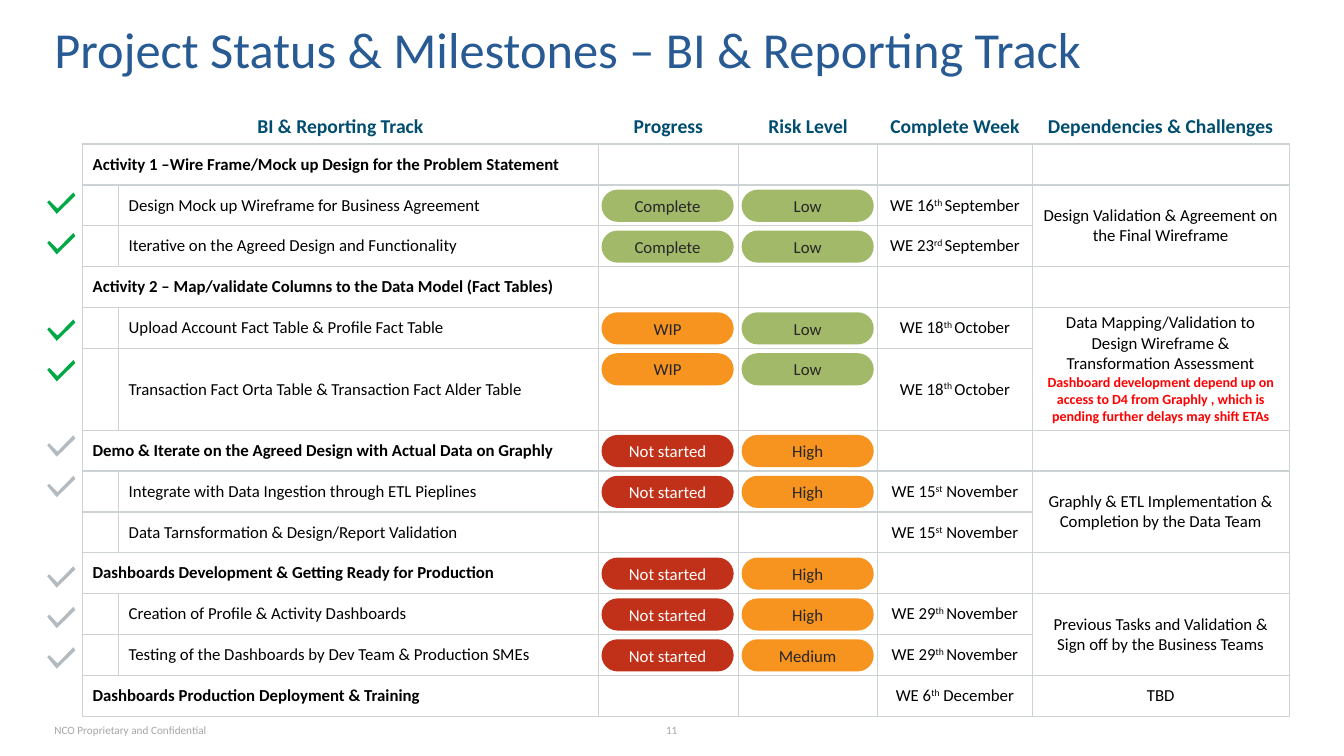
from dataclasses import dataclass
from itertools import accumulate

from lxml import etree
from pptx import Presentation
from pptx.dml.color import RGBColor
from pptx.enum.shapes import MSO_SHAPE
from pptx.enum.text import MSO_ANCHOR, PP_ALIGN
from pptx.oxml.ns import qn
from pptx.util import Cm, Pt

PILL = MSO_SHAPE.ROUNDED_RECTANGLE
LEFT, CENTER = PP_ALIGN.LEFT, PP_ALIGN.CENTER
MIDDLE, BOTTOM = MSO_ANCHOR.MIDDLE, MSO_ANCHOR.BOTTOM


@dataclass
class Theme:
    font: str = "Calibri"
    title: str = "285A93"
    header: str = "004D70"
    body: str = "000000"
    alert: str = "FF0000"
    footer: str = "A6A6A6"
    dark: str = "262626"
    white: str = "FFFFFF"
    grid: str = "CDD2D5"
    green: str = "A2B969"
    orange: str = "F7931F"
    red: str = "C13018"
    tick_done: str = "00A846"
    tick_open: str = "B4BBC0"
    title_size: int = 36
    header_size: int = 14
    body_size: int = 12
    alert_size: int = 10
    footer_size: int = 8


theme = Theme()

# Status label: fill and text colour
STATUS = {
    "Complete": (theme.green, theme.dark),
    "Low": (theme.green, theme.dark),
    "WIP": (theme.orange, theme.dark),
    "High": (theme.orange, theme.dark),
    "Medium": (theme.orange, theme.dark),
    "Not started": (theme.red, theme.white),
}
HEADERS = {0: "BI & Reporting Track", 2: "Progress", 3: "Risk Level",
           4: "Complete Week", 5: "Dependencies & Challenges"}

# Is heading, name, progress, risk, week (^ encloses superscript), dependency
ROWS = [
    (True, "Activity 1 –Wire Frame/Mock up Design for the Problem Statement", "", "", "", ""),
    (False, "Design Mock up Wireframe for Business Agreement", "Complete", "Low",
     "WE 16^th ^September", "Design Validation & Agreement on the Final Wireframe"),
    (False, "Iterative on the Agreed Design and Functionality", "Complete", "Low",
     "WE 23^rd ^September", ""),
    (True, "Activity 2 – Map/validate Columns to the Data Model (Fact Tables)", "", "", "", ""),
    (False, "Upload Account Fact Table & Profile Fact Table", "WIP", "Low", "WE 18^th ^October",
     "Data Mapping/Validation to Design Wireframe & Transformation Assessment\n"
     "Dashboard development depend up on access to D4 from Graphly , "
     "which is pending further delays may shift ETAs"),
    (False, "Transaction Fact Orta Table & Transaction Fact Alder Table", "WIP", "Low",
     "WE 18^th ^October", ""),
    (True, "Demo & Iterate on the Agreed Design with Actual Data on Graphly",
     "Not started", "High", "", ""),
    (False, "Integrate with Data Ingestion through ETL Pieplines", "Not started", "High",
     "WE 15^st^ November", "Graphly & ETL Implementation & Completion by the Data Team"),
    (False, "Data Tarnsformation & Design/Report Validation", "", "", "WE 15^st^ November", ""),
    (True, "Dashboards Development & Getting Ready for Production",
     "Not started", "High", "", ""),
    (False, "Creation of Profile & Activity Dashboards", "Not started", "High",
     "WE 29^th ^November", "Previous Tasks and Validation & Sign off by the Business Teams"),
    (False, "Testing of the Dashboards by Dev Team & Production SMEs", "Not started", "Medium",
     "WE 29^th ^November", ""),
    (True, "Dashboards Production Deployment & Training", "", "", "WE 6^th^ December", "TBD"),
]

TABLE_LEFT, TABLE_TOP = 2.08, 2.46
COLUMN_WIDTHS = [0.91, 12.09, 3.53, 3.51, 3.89, 6.48]
ROW_HEIGHTS = [1.17] + [1.03] * len(ROWS)
ROW_HEIGHTS[6] = 2.06  # the long dependency note needs a double row
column_lefts = list(accumulate(COLUMN_WIDTHS, initial=TABLE_LEFT))
row_tops = list(accumulate(ROW_HEIGHTS, initial=TABLE_TOP))


def write(frame, text, size=theme.body_size, color=theme.body, bold=False,
          align=LEFT, spacing=None):
    """Write one paragraph; parts between ^ marks are superscript."""
    para = frame.paragraphs[0] if not frame.text else frame.add_paragraph()
    para.alignment = align
    para.line_spacing = spacing
    for index, part in enumerate(text.split("^")):
        span = para.add_run()
        span.text = part
        span.font.name = theme.font
        span.font.size = Pt(size)
        span.font.bold = bold
        span.font.color.rgb = RGBColor.from_string(color)
        if index % 2:
            span.font._element.set("baseline", "30000")


def style_cell(cell, sides):
    """Fill a cell white and draw the named borders."""
    cell.fill.solid()
    cell.fill.fore_color.rgb = RGBColor.from_string(theme.white)
    properties = cell._tc.get_or_add_tcPr()
    for index, side in enumerate(sides):
        line = etree.Element(qn(f"a:ln{side}"), w=str(Pt(1)))
        fill = etree.SubElement(line, qn("a:solidFill"))
        etree.SubElement(fill, qn("a:srgbClr"), val=theme.grid)
        properties.insert(index, line)


deck = Presentation()
deck.slide_width, deck.slide_height = Cm(33.87), Cm(19.05)
page = deck.slides.add_slide(deck.slide_layouts[6])

# Title, page number and footer
for text, left, top, width, height, inset, style in [
    ("Project Status & Milestones – BI & Reporting Track", 1.37, 0.46, 31.12, 1.3, 0.51,
     dict(size=theme.title_size, color=theme.title, spacing=0.8)),
    ("11", 16.46, 18.11, 0.94, 0.58, 0,
     dict(size=theme.footer_size, color=theme.footer, align=CENTER)),
    ("NCO Proprietary and Confidential", 1.37, 18.11, 4.09, 0.58, 0,
     dict(size=theme.footer_size, color=theme.footer)),
]:
    box = page.shapes.add_textbox(Cm(left), Cm(top), Cm(width), Cm(height))
    frame = box.text_frame
    frame.word_wrap = True
    frame.vertical_anchor = MIDDLE
    frame.margin_left = frame.margin_right = frame.margin_bottom = 0
    frame.margin_top = Cm(inset)
    write(frame, text, **style)

# Table grid
table = page.shapes.add_table(
    len(ROW_HEIGHTS), len(COLUMN_WIDTHS), Cm(TABLE_LEFT), Cm(TABLE_TOP),
    Cm(sum(COLUMN_WIDTHS)), Cm(sum(ROW_HEIGHTS))).table
table.first_row = table.horz_banding = False
for column, width in zip(table.columns, COLUMN_WIDTHS):
    column.width = Cm(width)
for number, height in enumerate(ROW_HEIGHTS):
    table.rows[number].height = Cm(height)
    for cell in table.rows[number].cells:
        style_cell(cell, "LRTB" if number else "B")
        cell.vertical_anchor = MIDDLE if number else BOTTOM

# Header row
table.cell(0, 0).merge(table.cell(0, 1))
for number, text in HEADERS.items():
    write(table.cell(0, number).text_frame, text, size=theme.header_size,
          color=theme.header, bold=True, align=CENTER)

# Activities, weeks, dependencies and status pills
for number, (heading, name, progress, risk, week, dependency) in enumerate(ROWS, 1):
    if heading:
        table.cell(number, 0).merge(table.cell(number, 1))
    write(table.cell(number, 0 if heading else 1).text_frame, name, bold=heading)

    if week:
        cell = table.cell(number, 4)
        cell.margin_left = cell.margin_right = 0
        write(cell.text_frame, week, align=CENTER)

    if dependency:
        cell = table.cell(number, 5)
        if not heading:
            cell.merge(table.cell(number + 1, 5))
        note, *alerts = dependency.split("\n")
        write(cell.text_frame, note, align=CENTER)
        for alert in alerts:
            write(cell.text_frame, alert, size=theme.alert_size, color=theme.alert,
                  bold=True, align=CENTER)

    for column, status in ((2, progress), (3, risk)):
        if status:
            fill, color = STATUS[status]
            pill = page.shapes.add_shape(PILL, Cm(column_lefts[column] + 0.08),
                                         Cm(row_tops[number] + 0.12), Cm(3.33), Cm(0.81))
            pill.adjustments[0] = 0.5
            pill.shadow.inherit = False
            pill.fill.solid()
            pill.fill.fore_color.rgb = RGBColor.from_string(fill)
            pill.line.fill.background()
            pill.text_frame.vertical_anchor = MIDDLE
            write(pill.text_frame, status, color=color, align=CENTER)

# Check marks: groups with a common step
TICK_LEFT, TICK_STEP = 1.19, 1.02
TICK_POINTS = [(0.66, 0), (0.26, 0.41), (0.05, 0.2), (0, 0.25),
               (0.24, 0.54), (0.3, 0.48), (0.71, 0.08)]
for first_top, count, color in [(4.85, 2, theme.tick_done), (8.05, 2, theme.tick_done),
                                (10.97, 2, theme.tick_open), (14.27, 3, theme.tick_open)]:
    for index in range(count):
        top = first_top + index * TICK_STEP
        points = [(Cm(TICK_LEFT + x), Cm(top + y)) for x, y in TICK_POINTS]
        outline = page.shapes.build_freeform(*points[0])
        outline.add_line_segments(points[1:], close=True)
        tick = outline.convert_to_shape()
        tick.shadow.inherit = False
        tick.fill.solid()
        tick.fill.fore_color.rgb = RGBColor.from_string(color)
        tick.line.fill.background()

deck.save("out.pptx")
